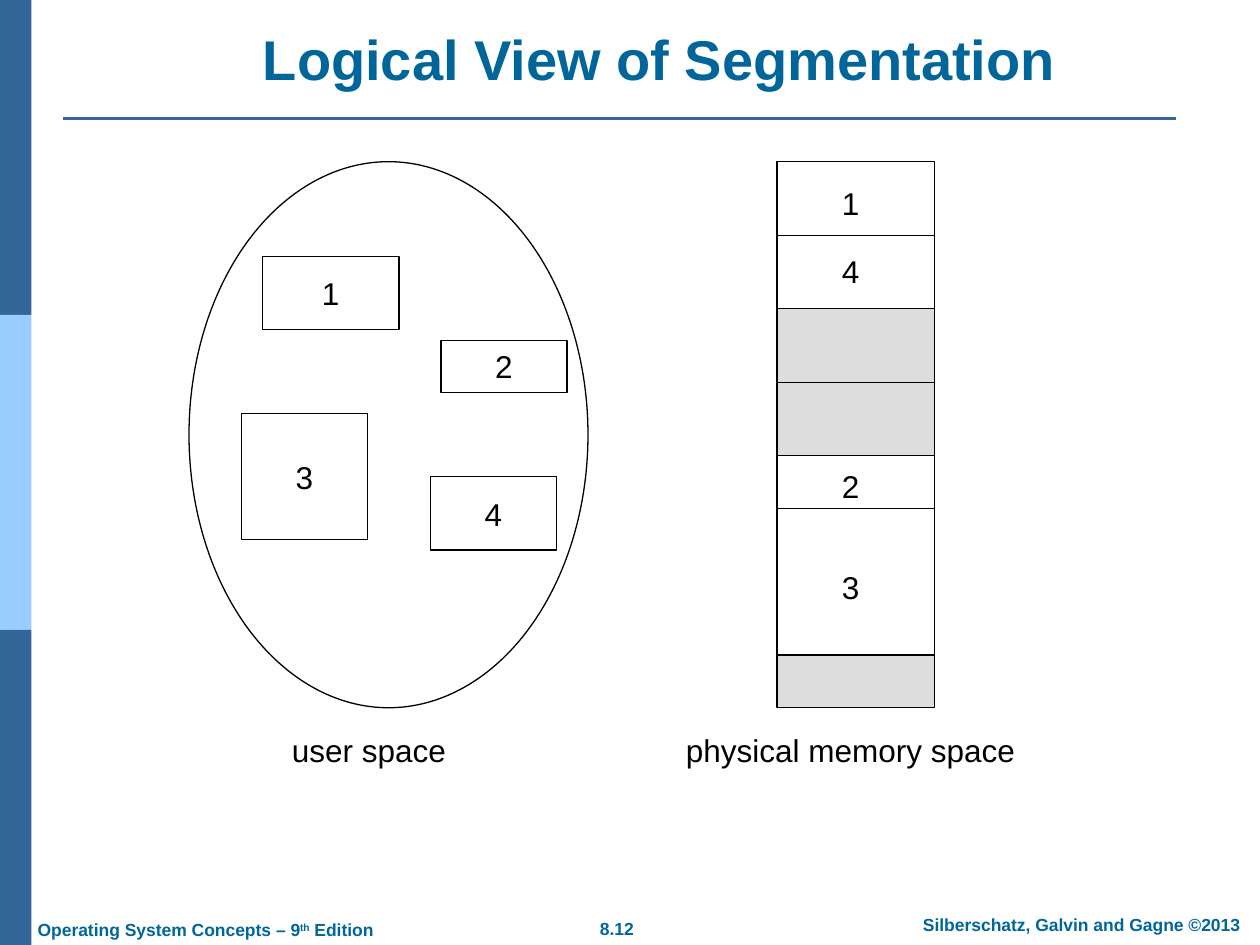
from lxml import etree
from pptx import Presentation, util as u
from pptx.dml.color import RGBColor
from pptx.enum import shapes as s, text as t

BLACK = RGBColor(0x00, 0x00, 0x00)
WHITE = RGBColor(0xFF, 0xFF, 0xFF)
GREY = RGBColor(0xDD, 0xDD, 0xDD)
TEAL = RGBColor(0x00, 0x66, 0x99)
NAVY = RGBColor(0x33, 0x66, 0x99)
SKY = RGBColor(0x99, 0xCC, 0xFF)
RECT, OVAL = s.MSO_SHAPE.RECTANGLE, s.MSO_SHAPE.OVAL
LEFT, MID = t.PP_ALIGN.LEFT, t.PP_ALIGN.CENTER

deck = Presentation()
deck.slide_width, deck.slide_height = u.Inches(10), u.Inches(7.5)
COL = deck.slide_width / 120
ROW = deck.slide_height / 90
TOP = 15.4  # first row of both memory diagrams
slide = deck.slides.add_slide(deck.slide_layouts[5])


def place(col, row, wide, high):
    """Turn grid columns and rows into slide lengths."""
    return round(col * COL), round(row * ROW), round(wide * COL), round(high * ROW)


def write(shape, words, size=18, color=BLACK, bold=False, align=MID):
    """Put one paragraph of (text, is raised) runs in a shape."""
    frame = shape.text_frame
    frame.word_wrap = False
    frame.vertical_anchor = t.MSO_ANCHOR.MIDDLE
    para = frame.paragraphs[0]
    para.alignment = align
    font = para.font
    font.name, font.size, font.bold = "Arial", u.Pt(size), bold
    font.color.rgb = color
    for word, high in words:
        run = para.add_run()
        run.text = word
        if high:
            run.font._element.set("baseline", "30000")


# Side bar
for part, color in enumerate((NAVY, SKY, NAVY)):
    bar = slide.shapes.add_shape(RECT, *place(0, part * 30, 3, 30))
    bar.shadow.inherit = False
    bar.fill.solid()
    bar.fill.fore_color.rgb = color
    bar.line.fill.background()

# Title
title = slide.shapes.title
title.left, title.top, title.width, title.height = place(11.64, 1.8, 102.36, 7.56)
write(title, [("Logical View of Segmentation", False)], 32, TEAL, True)
title.text_frame.word_wrap = True
title.text_frame.auto_size = t.MSO_AUTO_SIZE.NONE
title.text_frame.vertical_anchor = t.MSO_ANCHOR.BOTTOM

# Boxes: kind, column, row below TOP, width, height, fill, label
boxes = [
    (OVAL, 18, 0, 38, 52, WHITE, ""),
    (RECT, 25, 9, 13, 7, WHITE, "1"),
    (RECT, 23, 24, 12, 12, WHITE, "3"),
    (RECT, 42, 17, 12, 5, WHITE, "2"),
    (RECT, 41, 30, 12, 7, WHITE, "4"),
]
row = 0
for high, fill in ((14, WHITE), (14, GREY), (19, WHITE), (5, GREY)):
    boxes.append((RECT, 74, row, 15, high, fill, ""))
    row += high

made = []
for kind, col, row, wide, high, fill, name in boxes:
    box = slide.shapes.add_shape(kind, *place(col, TOP + row, wide, high))
    box.shadow.inherit = False
    box.fill.solid()
    box.fill.fore_color.rgb = fill
    box.line.color.rgb = BLACK
    box.line.width = u.Pt(0.75)
    if name:
        write(box, [(name, False)])
    made.append(box)

# Title rule and memory dividers: start, end, row, colour, width, split box
rules = [
    (6, 112, 11.28, NAVY, 1.5, None),
    (74, 89, TOP + 7, BLACK, 0.75, made[5]),
    (74, 89, TOP + 21, BLACK, 0.75, made[6]),
    (74, 89, TOP + 33, BLACK, 0.75, None),
]
for start, end, row, color, width, split in rules:
    x, y, wide, _ = place(start, row, end - start, 0)
    rule = slide.shapes.add_connector(s.MSO_CONNECTOR.STRAIGHT, x, y, x + wide, y)
    rule.line.color.rgb = color
    rule.line.width = u.Pt(width)
    etree.SubElement(
        rule._element.spPr,
        "{http://schemas.openxmlformats.org/drawingml/2006/main}effectLst")
    if split is not None:
        rule.begin_connect(split, 1)
        rule.end_connect(split, 3)

# Memory labels (middle row below TOP) and captions
labels = [(79, TOP + mid - 2.4, 4, name) for name, mid in
          (("1", 3.9), ("4", 10.4), ("2", 30.9), ("3", 40.5))]
labels += [(26.4, 69, 17.5, "user space"), (64, 69, 34, "physical memory space")]
for col, row, wide, name in labels:
    write(slide.shapes.add_textbox(*place(col, row, wide, 4.8)), [(name, False)])

# Footer
footer = [
    (55.8, 86.8, 5.9, MID, [("8.12", False)]),
    (85.2, 86.4, 35.6, MID, [("Silberschatz, Galvin and Gagne ©2013", False)]),
    (2.4, 86.9, 34.7, LEFT, [("Operating System Concepts – 9", False),
                             ("th", True), (" Edition", False)]),
]
for col, row, wide, align, words in footer:
    note = slide.shapes.add_textbox(*place(col, row, wide, 3.2))
    write(note, words, 10, TEAL, True, align)

deck.save("out.pptx")
